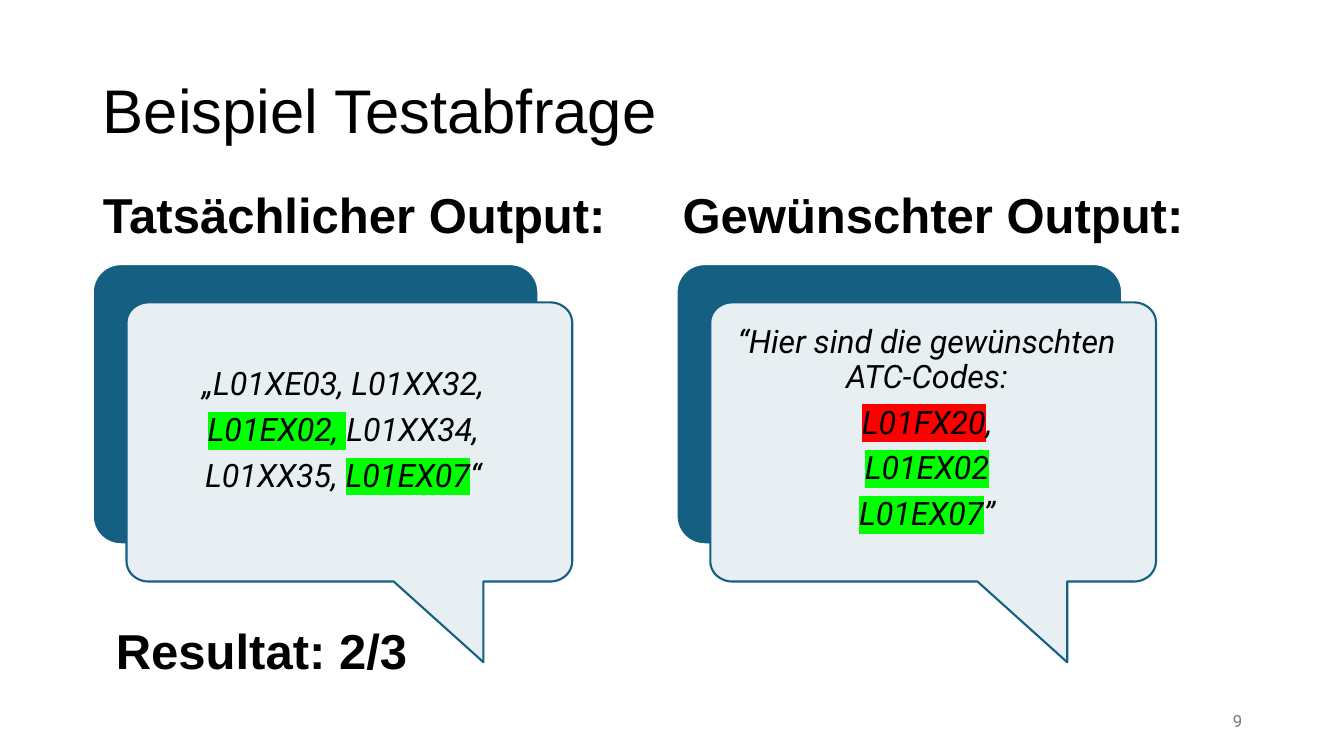
import math
from dataclasses import dataclass

from lxml import etree
from pptx import Presentation
from pptx.dml.color import RGBColor
from pptx.enum.shapes import MSO_SHAPE
from pptx.enum.text import MSO_ANCHOR, MSO_AUTO_SIZE, PP_ALIGN
from pptx.oxml.ns import qn
from pptx.util import Inches, Pt

ROUNDED = MSO_SHAPE.ROUNDED_RECTANGLE
TOP, MIDDLE = MSO_ANCHOR.TOP, MSO_ANCHOR.MIDDLE
LEFT, CENTER, RIGHT = PP_ALIGN.LEFT, PP_ALIGN.CENTER, PP_ALIGN.RIGHT
NO_FIT = MSO_AUTO_SIZE.NONE

BLACK, WHITE, GREY = "000000", "FFFFFF", "797979"
BLUE, PALE = "156082", "E8EFF3"
GREEN, RED = "00FF00", "FF0000"

CARD_WIDTH, CARD_HEIGHT = 4.42, 2.78
BUBBLE_HEIGHT, BUBBLE_TOP = 2.77, 3.0
BUBBLE_SHIFT = 0.335
CORNER_X, CORNER_Y = 0.22, 0.2
CORNER_STEPS = 10
TAIL = [(3.54, BUBBLE_HEIGHT), (3.54, 3.57), (2.65, BUBBLE_HEIGHT)]


@dataclass(frozen=True)
class Box:
    left: float
    top: float
    width: float
    height: float


@dataclass(frozen=True)
class Piece:
    text: str
    mark: str = ""


@dataclass(frozen=True)
class Style:
    size: float
    font: str = "Arial"
    color: str = BLACK
    bold: bool = False
    italic: bool = False
    align: PP_ALIGN = LEFT
    anchor: MSO_ANCHOR = TOP
    line_spacing: float = 0.9
    before: float = 0
    after: float = 0


@dataclass(frozen=True)
class Output:
    heading: str
    heading_box: Box
    card_left: float
    codes_box: Box
    codes: list[list[Piece]]


TITLE = Style(44, anchor=MIDDLE)
HEADING = Style(35, bold=True, before=10)
CODES = Style(23, font="Roboto", italic=True, align=CENTER, after=8)
NUMBER = Style(12, font="Roboto", color=GREY, align=RIGHT, anchor=MIDDLE, line_spacing=1)

OUTPUTS = [
    Output(
        "Tatsächlicher Output:", Box(0.92, 1.85, 5.64, 0.9), 0.92, Box(1.32, 3.6, 4.17, 1.42),
        [
            [Piece("„L01XE03, L01XX32,")],
            [Piece("L01EX02, ", GREEN), Piece("L01XX34,")],
            [Piece("L01XX35, "), Piece("L01EX07", GREEN), Piece("“")],
        ],
    ),
    Output(
        "Gewünschter Output:", Box(6.67, 1.85, 5.64, 0.9), 6.71, Box(6.93, 3.18, 4.53, 2.25),
        [
            [Piece("“Hier sind die gewünschten ATC-Codes:")],
            [Piece("L01FX20", RED), Piece(",")],
            [Piece("L01EX02", GREEN)],
            [Piece("L01EX07", GREEN), Piece("”")],
        ],
    ),
]


def rgb(color: str) -> RGBColor:
    return RGBColor.from_string(color)


def place(shape, box: Box) -> None:
    shape.left, shape.top = Inches(box.left), Inches(box.top)
    shape.width, shape.height = Inches(box.width), Inches(box.height)


def paint(shape, fill: str, line: str) -> None:
    shape.shadow.inherit = False
    shape.fill.solid()
    shape.fill.fore_color.rgb = rgb(fill)
    shape.line.color.rgb = rgb(line)
    shape.line.width = Pt(1.5)


def add_piece(paragraph, piece: Piece, style: Style) -> None:
    run = paragraph.add_run()
    run.text = piece.text
    font = run.font
    font.size, font.bold, font.italic = Pt(style.size), style.bold, style.italic
    font.color.rgb = rgb(style.color)
    if piece.mark:
        highlight = etree.SubElement(run._r.get_or_add_rPr(), qn("a:highlight"))
        etree.SubElement(highlight, qn("a:srgbClr")).set("val", piece.mark)
    font.name = style.font


def write(shape, lines: list[list[Piece]], style: Style) -> None:
    frame = shape.text_frame
    frame.word_wrap = True
    frame.auto_size = NO_FIT
    frame.vertical_anchor = style.anchor
    for index, line in enumerate(lines):
        paragraph = frame.add_paragraph() if index else frame.paragraphs[0]
        paragraph.alignment = style.align
        paragraph.line_spacing = style.line_spacing
        paragraph.space_before = Pt(style.before)
        paragraph.space_after = Pt(style.after)
        for piece in line:
            add_piece(paragraph, piece, style)


def remove_bullet(shape) -> None:
    properties = shape.text_frame.paragraphs[0]._p.get_or_add_pPr()
    properties.set("marL", "0")
    properties.set("indent", "0")
    etree.SubElement(properties, qn("a:buNone"))


def add_text(slide, box: Box, lines: list[list[Piece]], style: Style) -> None:
    text_box = slide.shapes.add_textbox(0, 0, 0, 0)
    place(text_box, box)
    write(text_box, lines, style)


def add_card(group, left: float) -> None:
    card = group.shapes.add_shape(
        ROUNDED, Inches(left), Inches(2.62), Inches(CARD_WIDTH), Inches(CARD_HEIGHT))
    card.adjustments[0] = 0.1
    paint(card, BLUE, WHITE)


def corner(center_x: float, center_y: float, start: int) -> list[tuple[float, float]]:
    angles = [math.radians(start + 90 * step / CORNER_STEPS) for step in range(CORNER_STEPS + 1)]
    return [(center_x + CORNER_X * math.cos(a), center_y + CORNER_Y * math.sin(a)) for a in angles]


def add_bubble(slide, left: float) -> None:
    right, bottom = CARD_WIDTH - CORNER_X, BUBBLE_HEIGHT - CORNER_Y
    outline = (
        corner(right, CORNER_Y, -90) + corner(right, bottom, 0) + TAIL
        + corner(CORNER_X, bottom, 90) + corner(CORNER_X, CORNER_Y, 180)
    )
    points = [(Inches(left + x), Inches(BUBBLE_TOP + y)) for x, y in outline]
    builder = slide.shapes.build_freeform(*points[0])
    builder.add_line_segments(points[1:], close=True)
    paint(builder.convert_to_shape(), PALE, BLUE)


def main() -> None:
    prs = Presentation()
    prs.slide_width, prs.slide_height = Inches(13.33), Inches(7.5)
    slide = prs.slides.add_slide(prs.slide_layouts[3])

    title = slide.shapes.title
    place(title, Box(0.92, 0.4, 11.5, 1.45))
    write(title, [[Piece("Beispiel Testabfrage")]], TITLE)

    cards = slide.shapes.add_group_shape()
    for index, output in enumerate(OUTPUTS, start=1):
        heading = slide.placeholders[index]
        place(heading, output.heading_box)
        write(heading, [[Piece(output.heading)]], HEADING)
        remove_bullet(heading)
        add_card(cards, output.card_left)
        add_bubble(slide, output.card_left + BUBBLE_SHIFT)
        add_text(slide, output.codes_box, output.codes, CODES)

    add_text(slide, Box(1.05, 6.17, 5.02, 0.9), [[Piece("Resultat: 2/3")]], HEADING)
    add_text(slide, Box(9.42, 6.95, 3, 0.4), [[Piece("9")]], NUMBER)
    prs.save("out.pptx")


if __name__ == "__main__":
    main()
